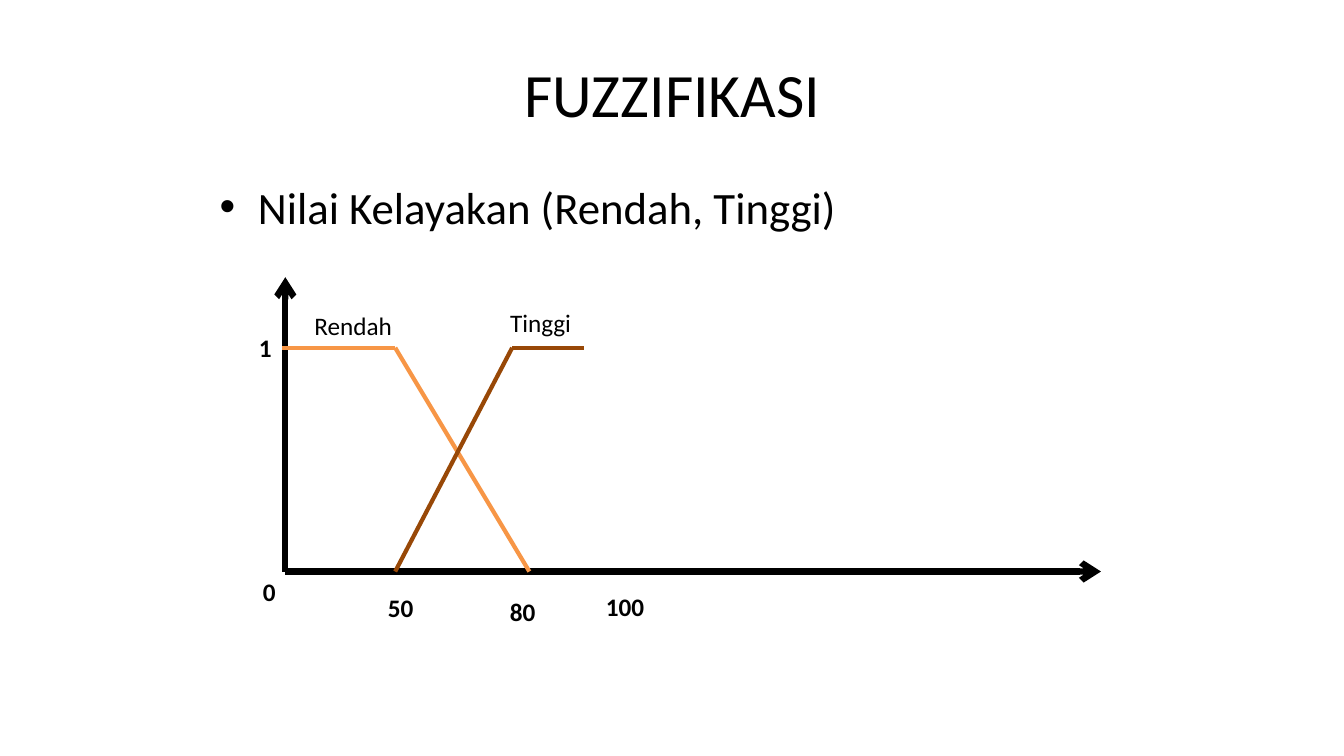
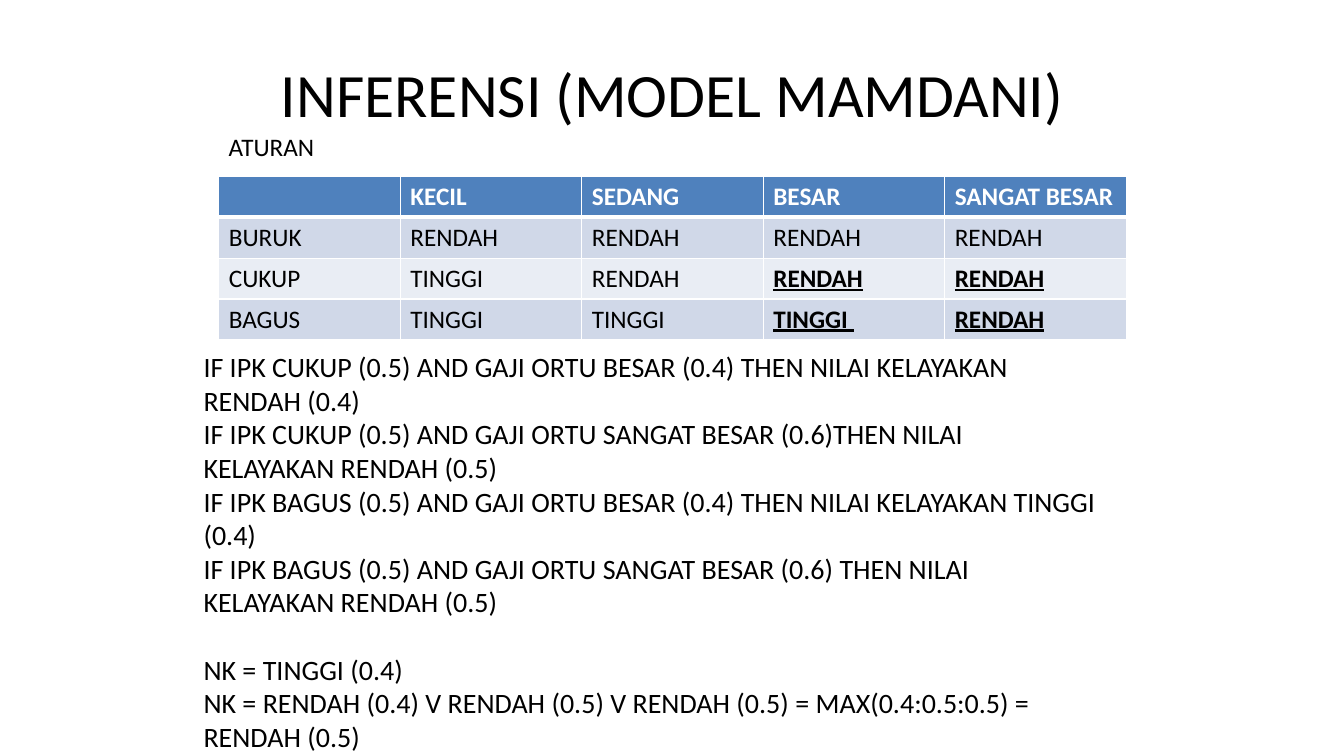
"""Build two slides on fuzzification and Mamdani inference."""
from lxml.etree import SubElement
from pptx import Presentation
from pptx.dml.color import RGBColor
from pptx.enum.shapes import MSO_CONNECTOR
from pptx.enum.text import MSO_ANCHOR, MSO_AUTO_SIZE, PP_ALIGN
from pptx.oxml.ns import qn
from pptx.util import Inches, Pt

COLORS = {
    "black": "000000",
    "white": "FFFFFF",
    "low": "F79646",
    "high": "984807",
    "header": "4F81BD",
    "band_dark": "D0D8E8",
    "band_light": "E9EDF4",
}
FONT = "Calibri"


def add_run(paragraph, text, size, color="black", bold=False, underline=False):
    run = paragraph.add_run()
    run.text = text
    run.font.name = FONT
    run.font.size = Pt(size)
    run.font.bold = bold
    run.font.underline = underline
    run.font.color.rgb = RGBColor.from_string(COLORS[color])


def add_text_box(slide, left, top, width, height, paragraphs, size, bold=False, wrap=False):
    shape = slide.shapes.add_textbox(Inches(left), Inches(top), Inches(width), Inches(height))
    frame = shape.text_frame
    frame.word_wrap = wrap
    frame.auto_size = MSO_AUTO_SIZE.SHAPE_TO_FIT_TEXT
    for index, text in enumerate(paragraphs):
        paragraph = frame.add_paragraph() if index else frame.paragraphs[0]
        add_run(paragraph, text, size, bold=bold)
    return frame


presentation = Presentation()
presentation.slide_width = Inches(13.33)
presentation.slide_height = Inches(7.5)

slides = []
for title_text in ["FUZZIFIKASI", "INFERENSI (MODEL MAMDANI)"]:
    slide = presentation.slides.add_slide(presentation.slide_layouts[5])
    title = slide.shapes.title
    title.left, title.top = Inches(0.67), Inches(0.3)
    title.width, title.height = Inches(12), Inches(1.25)
    title.text_frame.vertical_anchor = MSO_ANCHOR.MIDDLE
    paragraph = title.text_frame.paragraphs[0]
    paragraph.alignment = PP_ALIGN.CENTER
    add_run(paragraph, title_text, 44)
    slides.append(slide)
fuzzification, inference = slides

frame = add_text_box(
    fuzzification, 2.08, 1.73, 9, 0.7, ["Nilai Kelayakan (Rendah, Tinggi)"], 32, wrap=True
)
properties = frame.paragraphs[0]._p.get_or_add_pPr()
properties.set("marL", str(Inches(0.38)))
properties.set("indent", str(-Inches(0.38)))
SubElement(properties, qn("a:buFont"), typeface="Arial")
SubElement(properties, qn("a:buChar"), char="•")

origin_x, axis_y = 2.83, 5.67
full_y = 3.45
low_end, high_start, high_full = 5.25, 3.92, 5.08
chart_lines = [
    (origin_x, axis_y, origin_x, 2.75, "black", 4.5, True),
    (origin_x, axis_y, 10.92, axis_y, "black", 4.5, True),
    (2.8, full_y, high_start, full_y, "low", 3, False),
    (high_start, full_y, low_end, axis_y, "low", 3, False),
    (high_full, full_y, high_start, axis_y, "high", 3, False),
    (5.79, full_y, high_full, full_y, "high", 3, False),
]
for start_x, start_y, end_x, end_y, color, width, has_arrow in chart_lines:
    connector = fuzzification.shapes.add_connector(
        MSO_CONNECTOR.STRAIGHT,
        Inches(start_x), Inches(start_y), Inches(end_x), Inches(end_y),
    )
    connector.line.color.rgb = RGBColor.from_string(COLORS[color])
    connector.line.width = Pt(width)
    if has_arrow:
        SubElement(connector.line._get_or_add_ln(), qn("a:tailEnd"), type="arrow")
    SubElement(connector._element.spPr, qn("a:effectLst"))

chart_labels = [
    ("0", 2.51, 5.67, 0.33, True),
    ("1", 2.47, 3.25, 0.33, True),
    ("Rendah", 3.02, 3.03, 0.98, False),
    ("Tinggi", 4.96, 3, 0.81, False),
    ("50", 3.75, 5.83, 0.46, True),
    ("80", 4.96, 5.87, 0.46, True),
    ("100", 5.91, 5.82, 0.59, True),
]
for text, left, top, width, bold in chart_labels:
    add_text_box(fuzzification, left, top, width, 0.4, [text], 18, bold=bold)

rules = [
    ["", "KECIL", "SEDANG", "BESAR", "SANGAT BESAR"],
    ["BURUK", "RENDAH", "RENDAH", "RENDAH", "RENDAH"],
    ["CUKUP", "TINGGI", "RENDAH", "RENDAH", "RENDAH"],
    ["BAGUS", "TINGGI", "TINGGI", "TINGGI ", "RENDAH"],
]
row_fills = ["header", "band_dark", "band_light", "band_dark"]
table = inference.shapes.add_table(
    4, 5, Inches(2.17), Inches(1.75), Inches(9), Inches(1.62)
).table
for row_index, (row, row_fill) in enumerate(zip(rules, row_fills)):
    is_header = row_index == 0
    for column_index, text in enumerate(row):
        cell = table.cell(row_index, column_index)
        is_active = row_index >= 2 and column_index >= 3
        cell_properties = cell._tc.get_or_add_tcPr()
        for side in ["L", "R", "T", "B"]:
            is_thick = (is_header and side == "B") or (row_index == 1 and side == "T")
            border = SubElement(
                cell_properties, qn(f"a:ln{side}"), w=str(Pt(3 if is_thick else 1))
            )
            border_fill = SubElement(border, qn("a:solidFill"))
            SubElement(border_fill, qn("a:srgbClr"), val=COLORS["white"])
        cell.fill.solid()
        cell.fill.fore_color.rgb = RGBColor.from_string(COLORS[row_fill])
        if text:
            add_run(
                cell.text_frame.paragraphs[0], text, 18,
                color="white" if is_header else "black",
                bold=is_header or is_active, underline=is_active,
            )

add_text_box(inference, 2.17, 1.25, 1.06, 0.4, ["ATURAN"], 18)

conclusions = [
    "IF IPK CUKUP (0.5) AND GAJI ORTU BESAR (0.4) THEN NILAI KELAYAKAN RENDAH (0.4)",
    "IF IPK CUKUP (0.5) AND GAJI ORTU SANGAT BESAR (0.6)THEN NILAI KELAYAKAN RENDAH (0.5)",
    "IF IPK BAGUS (0.5) AND GAJI ORTU BESAR (0.4) THEN NILAI KELAYAKAN TINGGI (0.4)",
    "IF IPK BAGUS (0.5) AND GAJI ORTU SANGAT BESAR (0.6) THEN NILAI KELAYAKAN RENDAH (0.5)",
    "NK = TINGGI (0.4)",
    "NK = RENDAH (0.4) V RENDAH (0.5) V RENDAH (0.5) = MAX(0.4:0.5:0.5) = RENDAH (0.5)",
]
frame = add_text_box(inference, 1.92, 3.42, 9.08, 4.14, conclusions, 20, wrap=True)
frame.paragraphs[4].space_before = Pt(24)

presentation.save("out.pptx")
